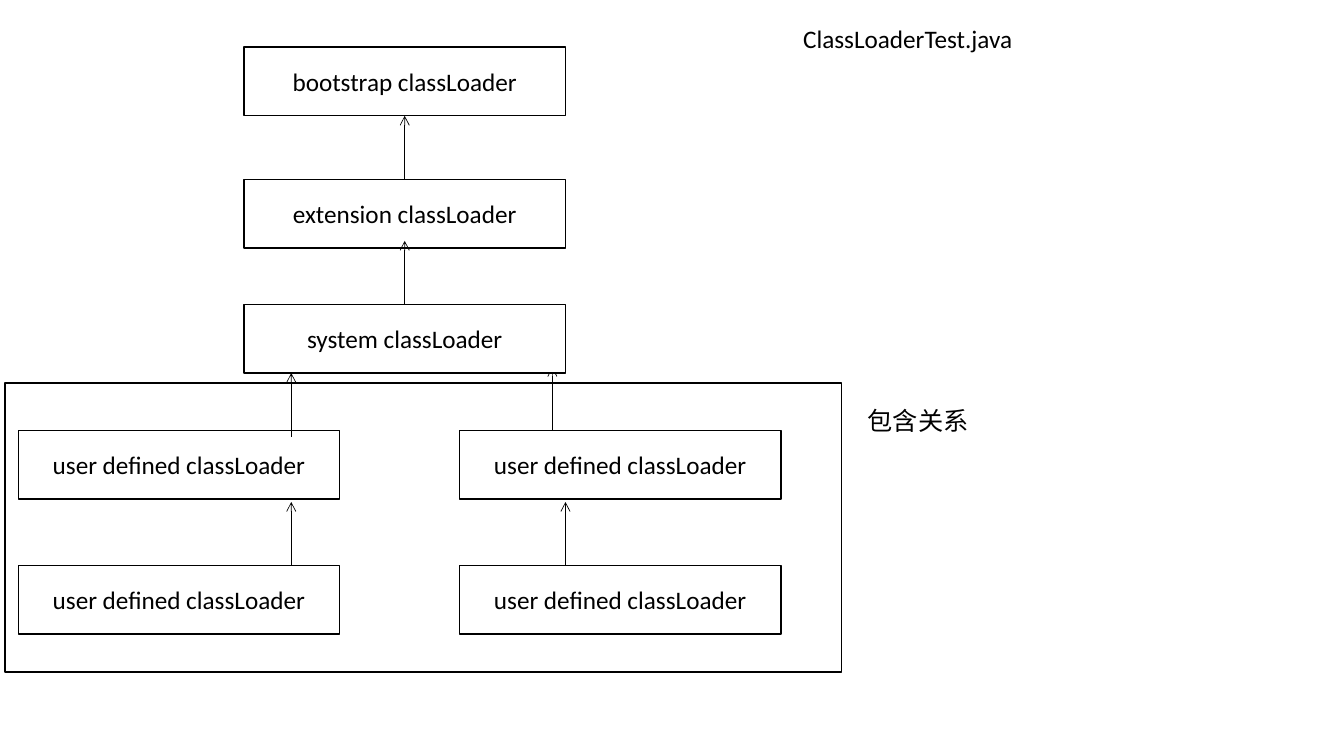
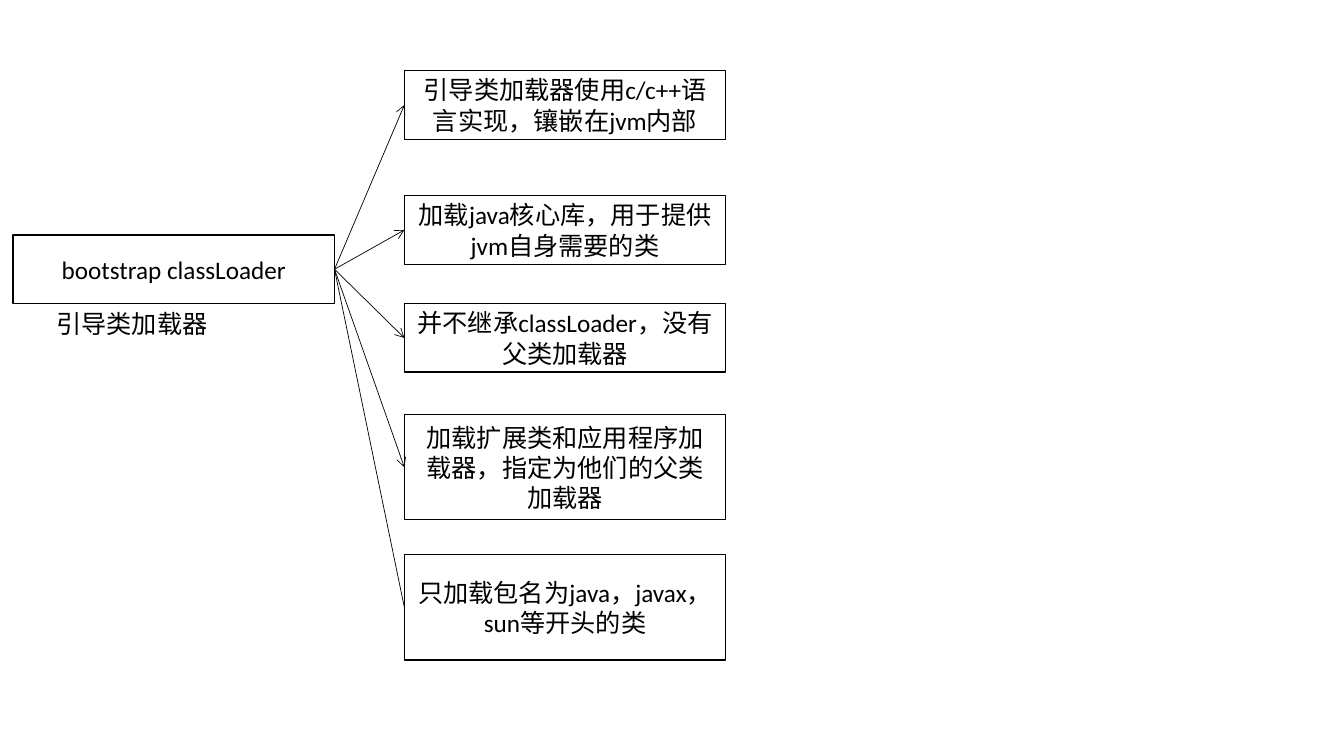
import pptx
import pptx.dml.color
import pptx.enum.shapes
import pptx.enum.text
import pptx.oxml
import pptx.oxml.ns
import pptx.util
from dataclasses import dataclass

Cm = pptx.util.Cm
Pt = pptx.util.Pt
RGB = pptx.dml.color.RGBColor
ALIGN = pptx.enum.text.PP_ALIGN
ANCHOR = pptx.enum.text.MSO_ANCHOR


@dataclass(frozen=True)
class Theme:
    ink: RGB = RGB(0, 0, 0)
    paper: RGB = RGB(255, 255, 255)
    font: str = "Calibri"
    size: float = 18
    box_line: float = 1
    arrow_line: float = 0.5
    # Common lengths in centimetres
    box_width: float = 8.1
    box_height: float = 1.73
    arrow_length: float = 1.6


THEME = Theme()


# ---- Shared parts ----
def write(frame, text, align=ALIGN.LEFT, anchor=ANCHOR.TOP, size=THEME.size, color=THEME.ink):
    frame.word_wrap = True
    frame.vertical_anchor = anchor
    paragraph = frame.paragraphs[0]
    paragraph.alignment = align
    run = paragraph.add_run()
    run.text = text
    run.font.name = THEME.font
    run.font.size = Pt(size)
    run.font.color.rgb = color


def add_box(slide, left, top, text="", width=THEME.box_width, height=THEME.box_height):
    box = slide.shapes.add_shape(pptx.enum.shapes.MSO_SHAPE.RECTANGLE,
                                 Cm(left), Cm(top), Cm(width), Cm(height))
    box.shadow.inherit = False
    box.fill.solid()
    box.fill.fore_color.rgb = THEME.paper
    box.line.color.rgb = THEME.ink
    box.line.width = Pt(THEME.box_line)
    if text:
        write(box.text_frame, text, align=ALIGN.CENTER, anchor=ANCHOR.MIDDLE)
    return box


def add_label(slide, left, top, width, text):
    label = slide.shapes.add_textbox(Cm(left), Cm(top), Cm(width), Cm(1.02))
    write(label.text_frame, text)
    label.text_frame.auto_size = pptx.enum.text.MSO_AUTO_SIZE.SHAPE_TO_FIT_TEXT


def add_link(slide, start=(0, 0), end=(0, 0), arrow=True):
    link = slide.shapes.add_connector(pptx.enum.shapes.MSO_CONNECTOR.STRAIGHT,
                                      *(Cm(value) for value in (*start, *end)))
    link.line.color.rgb = THEME.ink
    link.line.width = Pt(THEME.arrow_line)
    if arrow:
        head = pptx.oxml.parse_xml(
            f'<a:tailEnd {pptx.oxml.ns.nsdecls("a")} type="arrow"/>')
        link.line._get_or_add_ln().append(head)
    link._element.spPr.append(
        pptx.oxml.parse_xml(f'<a:effectLst {pptx.oxml.ns.nsdecls("a")}/>'))
    return link


def add_up_arrow(slide, x, bottom):
    add_link(slide, (x, bottom), (x, bottom - THEME.arrow_length))


# ---- Slide 1: class loader hierarchy ----
def built_in_loaders(slide, left, top):
    center = left + THEME.box_width / 2
    loaders = (("bootstrap", 0), ("extension", 3.33), ("system", 6.48))
    for name, offset in loaders:
        add_box(slide, left, top + offset, f"{name} classLoader")
    for _, offset in loaders[1:]:
        add_up_arrow(slide, center, top + offset)


def user_loaders(slide, left, top, width, height):
    add_box(slide, left, top, width=width, height=height)
    upper, lower = top + 1.2, top + 4.6
    # Column offset, then the offsets and drop of its arrows
    columns = ((0.33, 7.21, 7.21, 0.15), (11.45, 13.79, 14.12, 0))
    for column, upper_arrow, lower_arrow, drop in columns:
        for row in (upper, lower):
            add_box(slide, left + column, row, "user defined classLoader")
        add_up_arrow(slide, left + upper_arrow, upper + drop)
        add_up_arrow(slide, left + lower_arrow, lower)
    add_label(slide, left + width + 0.41, top + 0.43, 4.42, "包含关系")


def hierarchy_slide(slide):
    user_loaders(slide, 0.13, 9.65, 21.08, 7.29)
    built_in_loaders(slide, 6.15, 1.19)
    add_label(slide, 19.99, 0.46, 12.04, "ClassLoaderTest.java")


# ---- Slide 2: bootstrap class loader ----
def bootstrap_loader(slide, left, top):
    loader = add_box(slide, left, top, "bootstrap classLoader")
    add_label(slide, left + 0.84, top + THEME.box_height, 7.01, "引导类加载器")
    return loader


def loader_traits(slide, loader, left, top):
    tall = 2.65
    traits = (
        (0, THEME.box_height, "引导类加载器使用c/c++语言实现，镶嵌在jvm内部"),
        (3.15, THEME.box_height, "加载java核心库，用于提供jvm自身需要的类"),
        (5.87, THEME.box_height, "并不继承classLoader，没有父类加载器"),
        (8.67, tall, "加载扩展类和应用程序加载器，指定为他们的父类加载器"),
        (12.2, tall, "只加载包名为java，javax，sun等开头的类"),
    )
    right_side, left_side = 3, 1
    for offset, height, text in traits:
        trait = add_box(slide, left, top + offset, text, height=height)
        link = add_link(slide, arrow=text != traits[-1][2])
        link.begin_connect(loader, right_side)
        link.end_connect(trait, left_side)


def bootstrap_slide(slide):
    loader = bootstrap_loader(slide, 0.33, 5.92)
    loader_traits(slide, loader, 10.19, 1.78)


# ---- Presentation ----
deck = pptx.Presentation()
deck.slide_width, deck.slide_height = Cm(33.87), Cm(19.05)
blank = deck.slide_layouts[6]
for build in (hierarchy_slide, bootstrap_slide):
    build(deck.slides.add_slide(blank))
deck.save("out.pptx")
